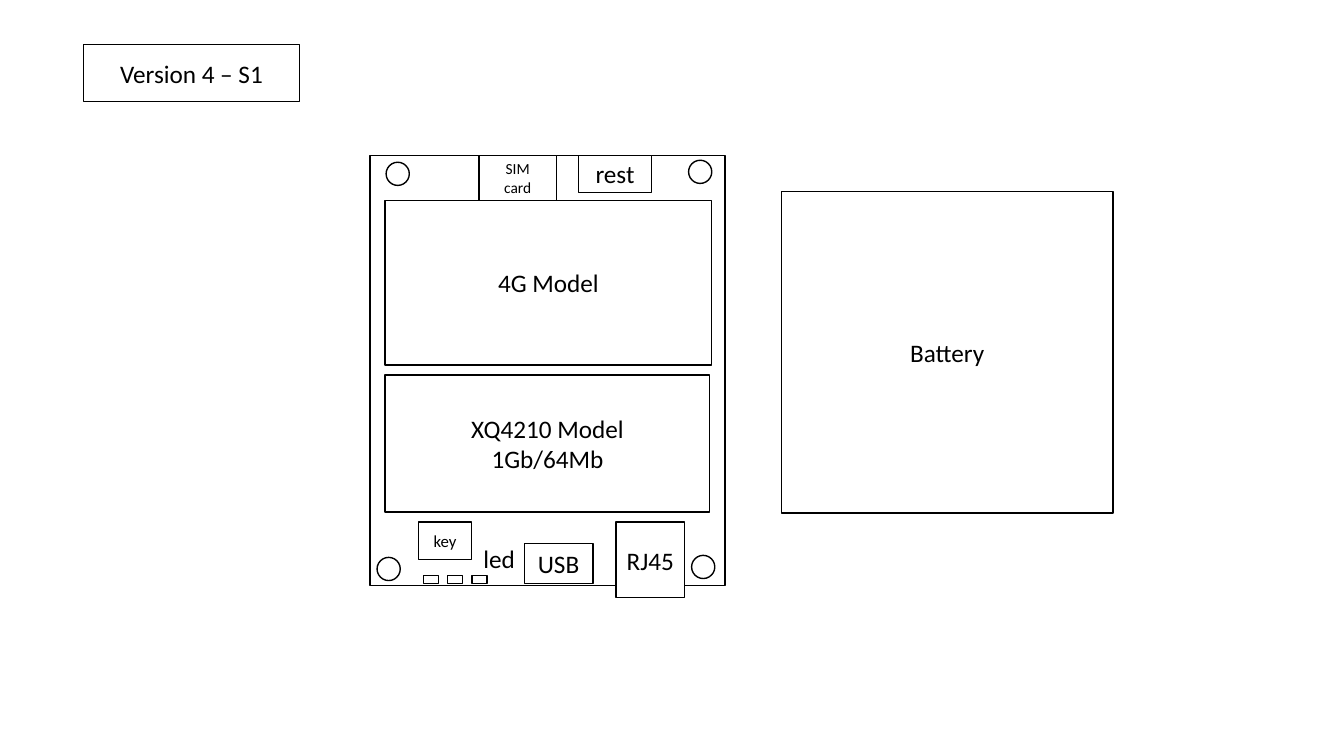
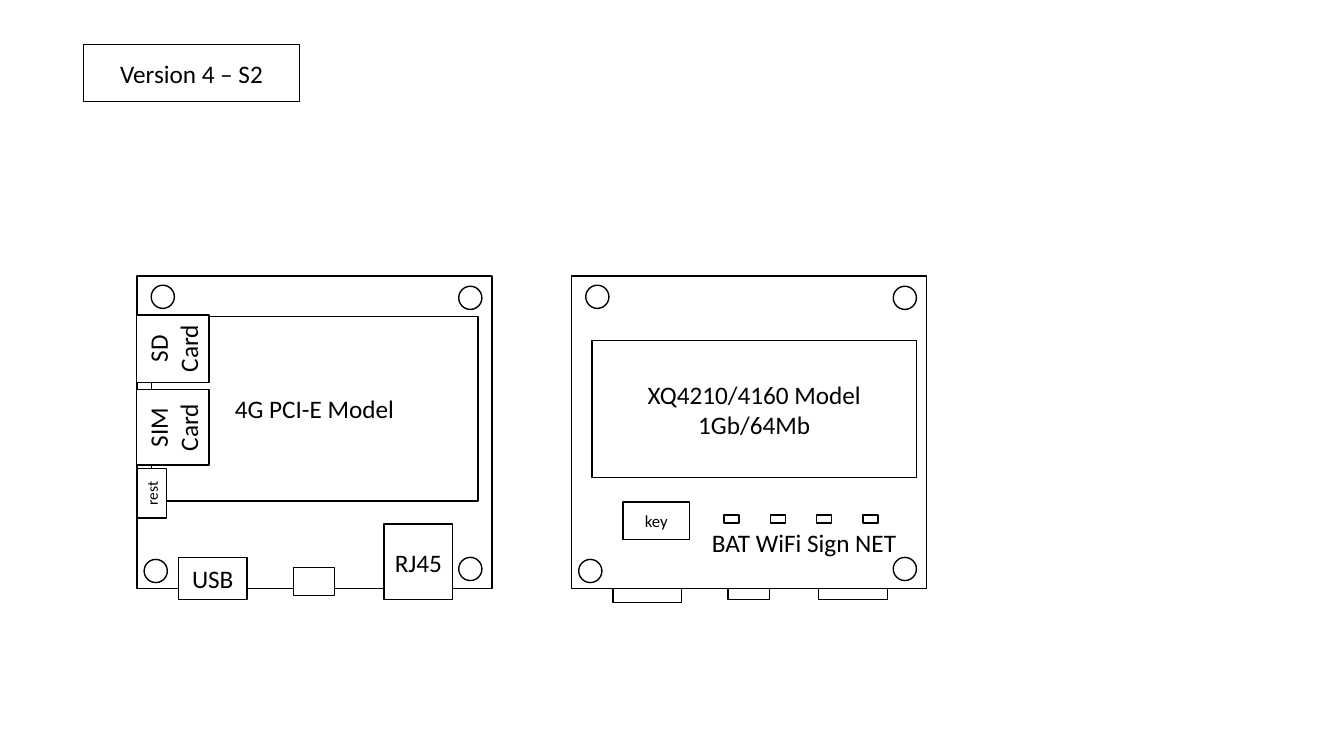
"""Build two slides that show the board layouts of a battery-powered 4G router."""
from pptx import Presentation
from pptx.dml.color import RGBColor
from pptx.enum.shapes import MSO_SHAPE
from pptx.enum.text import MSO_ANCHOR, PP_ALIGN
from pptx.util import Inches, Pt

RECTANGLE = MSO_SHAPE.RECTANGLE
OVAL = MSO_SHAPE.OVAL
MIDDLE = MSO_ANCHOR.MIDDLE
TOP = MSO_ANCHOR.TOP
CENTER = PP_ALIGN.CENTER

INK = "000000"
PAPER = "FFFFFF"
FONT = "Calibri"
HOLE = 0.23
LED_SIZE = (0.15, 0.08)
BOARD_WIDTH = 3.52
CHIP_SIZE = (3.22, 1.36)


def write_text(shape, text, size=18, color=INK, anchor=MIDDLE, wrap=True):
    """Write centred text into a shape, one paragraph per line."""
    frame = shape.text_frame
    frame.word_wrap = wrap
    frame.vertical_anchor = anchor
    frame.text = text
    for paragraph in frame.paragraphs:
        paragraph.alignment = CENTER
        paragraph.font.name = FONT
        paragraph.font.size = Pt(size)
        paragraph.font.color.rgb = RGBColor.from_string(color)


def add_part(slide, left, top, width, height, text="", kind=RECTANGLE, rotation=0, **text_format):
    """Add an outlined part, with a label if text is given."""
    shape = slide.shapes.add_shape(kind, Inches(left), Inches(top), Inches(width), Inches(height))
    shape.shadow.inherit = False
    shape.fill.solid()
    shape.fill.fore_color.rgb = RGBColor.from_string(PAPER)
    shape.line.color.rgb = RGBColor.from_string(INK)
    shape.line.width = Pt(1)
    shape.rotation = rotation
    if text:
        write_text(shape, text, **text_format)


presentation = Presentation()
presentation.slide_width = Inches(13.33)
presentation.slide_height = Inches(7.5)
blank_layout = presentation.slide_layouts[6]
slides = []
for version in ("S1", "S2"):
    slide = presentation.slides.add_slide(blank_layout)
    add_part(slide, 0.83, 0.44, 2.14, 0.57, f"Version 4 – {version}")
    slides.append(slide)
single_board, double_board = slides

add_part(single_board, 3.67, 1.54, BOARD_WIDTH, 4.27)
add_part(single_board, 3.82, 3.72, *CHIP_SIZE, "XQ4210 Model\n1Gb/64Mb")
add_part(single_board, 5.2, 5.39, 0.68, 0.4, "USB")
add_part(single_board, 4.15, 5.18, 0.53, 0.37, "key", size=12)
for index in range(3):
    add_part(single_board, 4.2 + 0.24 * index, 5.71, *LED_SIZE)
add_part(single_board, 6.11, 5.18, 0.68, 0.75, "RJ45")
add_part(single_board, 4.75, 1.54, 0.77, 0.45, "SIM\ncard", size=11)
for left, top in ((6.83, 1.59), (3.83, 1.61), (3.74, 5.53), (6.86, 5.51)):
    add_part(single_board, left, top, HOLE, HOLE, kind=OVAL)
add_part(single_board, 5.74, 1.54, 0.72, 0.37, "rest")
add_part(single_board, 7.75, 1.9, 3.29, 3.19, "Battery")
add_part(single_board, 3.82, 1.99, 3.24, 1.63, "4G Model")

for left, top, width, height in ((7.22, 5.67, 0.41, 0.28), (6.08, 5.56, 0.68, 0.42), (8.12, 5.2, 0.68, 0.75)):
    add_part(double_board, left, top, width, height)
for board_left in (1.36, 5.67):
    add_part(double_board, board_left, 2.74, BOARD_WIDTH, 3.1)
    for offset, top in ((3.19, 2.84), (0.14, 2.83), (0.07, 5.55), (3.19, 5.53)):
        add_part(double_board, board_left + offset, top, HOLE, HOLE, kind=OVAL)

add_part(double_board, 2.91, 5.63, 0.41, 0.28)
add_part(double_board, 3.81, 5.2, 0.68, 0.75, "RJ45")
add_part(double_board, 1.5, 3.14, 3.24, 1.83, "4G PCI-E Model")
add_part(double_board, 1.34, 3.88, 0.75, 0.72, "SIM Card", rotation=270)
add_part(double_board, 1.26, 4.75, 0.49, 0.29, "rest", rotation=270, size=11)
add_part(double_board, 1.38, 3.1, 0.67, 0.72, "SD\nCard", rotation=270)
add_part(double_board, 1.77, 5.53, 0.68, 0.42, "USB")

add_part(double_board, 5.87, 3.38, *CHIP_SIZE, "XQ4210/4160 Model\n1Gb/64Mb")
add_part(double_board, 6.18, 4.98, 0.66, 0.37, "key", size=12)
for index in range(4):
    add_part(double_board, 7.18 + 0.46 * index, 5.11, *LED_SIZE)

for slide, text, left, top, width in (
    (single_board, "led", 4.69, 5.34, 0.52),
    (double_board, "BAT WiFi Sign NET", 6.92, 5.18, 2.11),
):
    label = slide.shapes.add_textbox(Inches(left), Inches(top), Inches(width), Inches(0.4))
    write_text(label, text, anchor=TOP, wrap=False)

presentation.save("out.pptx")
